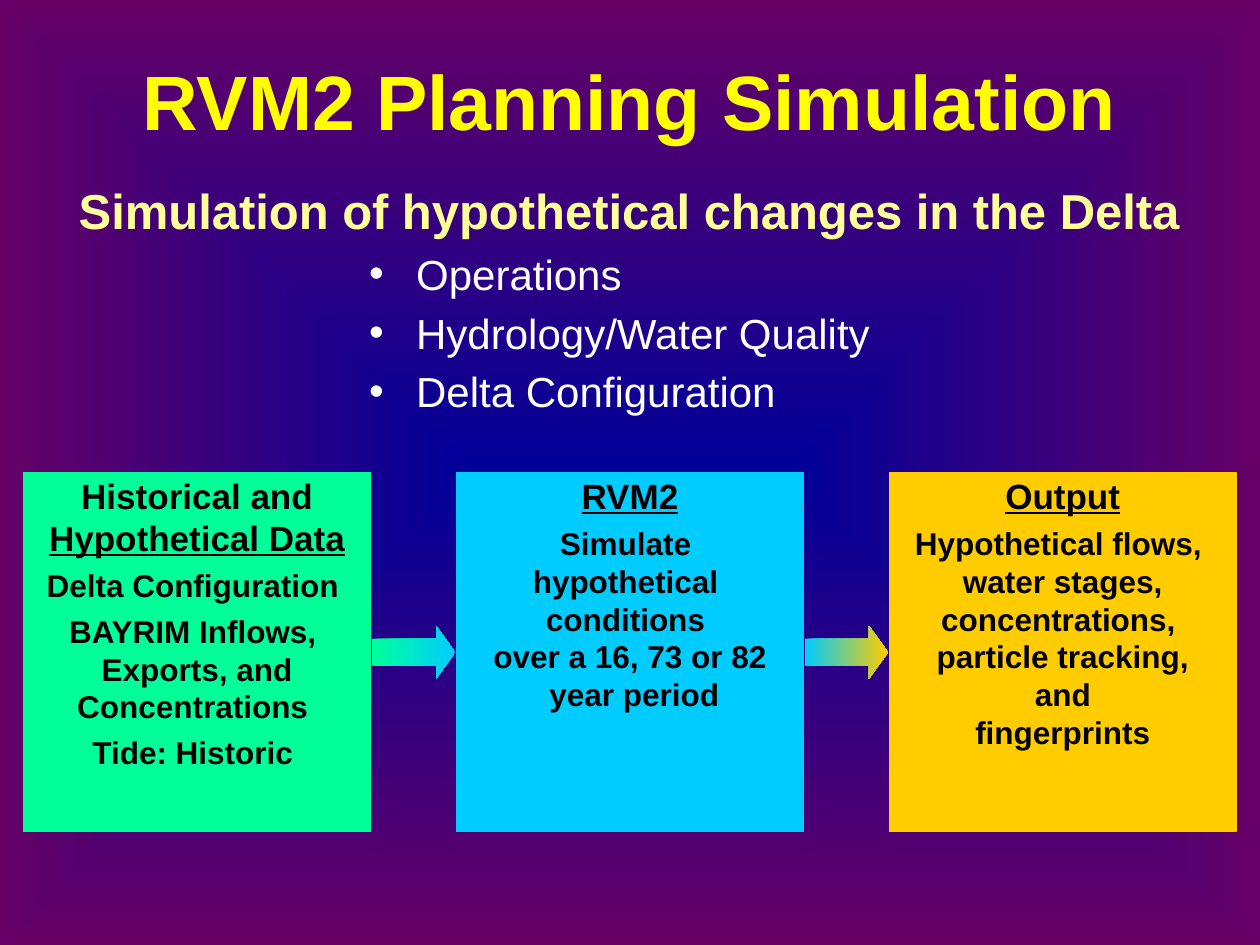
from lxml import etree
from pptx import Presentation, util as u
from pptx.dml.color import RGBColor
from pptx.enum import shapes, text
from pptx.oxml.ns import qn

COLORS = {
    "center": "000099", "edge": "660066", "title": "FFFF00",
    "subtitle": "FFFF99", "bullet": "FFFFFF", "box_text": "000000",
    "data": "00FF99", "model": "00CCFF", "output": "FFCC00",
}

STAGES = [
    ("data", ["Historical and", "Hypothetical Data"],
     [["Delta Configuration "],
      ["BAYRIM Inflows, ", "Exports, and", "Concentrations "],
      ["Tide: Historic "]]),
    ("model", ["RVM2"],
     [["Simulate ", "hypothetical ", "conditions ",
       "over a 16, 73 or 82", " year period"]]),
    ("output", ["Output"],
     [["Hypothetical flows, ", "water stages,", "concentrations, ",
       "particle tracking,", "and", "fingerprints"]]),
]


def color(name):
    return RGBColor.from_string(COLORS[name])


def format_paragraph(paragraph, size, color_name, bold=True, underline=False):
    for run in paragraph.runs:
        font = run.font
        font.name, font.size, font.bold = "Arial", u.Pt(size), bold
        font.underline = underline
        font.color.rgb = color(color_name)


def set_gradient(fill, start, end):
    fill.gradient()
    fill.gradient_angle = 0
    for stop, name in zip(fill.gradient_stops, (start, end)):
        stop.color.rgb = color(name)
    fill.gradient_stops[0].position = 0
    fill.gradient_stops[1].position = 1


def set_background(slide):
    set_gradient(slide.background.fill, "center", "edge")
    linear = next(slide.element.iter(qn("a:lin")))
    gradient_path = etree.Element(qn("a:path"), {"path": "shape"})
    etree.SubElement(gradient_path, qn("a:fillToRect"),
                     {side: "50000" for side in "ltrb"})
    linear.getparent().replace(linear, gradient_path)


def set_margins(frame, margin):
    frame.margin_left = frame.margin_right = margin
    frame.margin_top = frame.margin_bottom = margin


def add_heading(slide, box, wording, size, color_name):
    frame = slide.shapes.add_textbox(*box).text_frame
    frame.word_wrap = True
    frame.vertical_anchor = text.MSO_ANCHOR.MIDDLE
    set_margins(frame, u.Cm(0.03))
    frame.text = wording
    paragraph = frame.paragraphs[0]
    paragraph.alignment = text.PP_ALIGN.CENTER
    format_paragraph(paragraph, size, color_name)


def add_bullets(slide, box, items):
    frame = slide.shapes.add_textbox(*box).text_frame
    frame.word_wrap = True
    frame.text = "\n".join(items)
    indent = u.Cm(0.95)
    for paragraph in frame.paragraphs:
        paragraph.space_before = u.Pt(4.8)
        format_paragraph(paragraph, 24, "bullet", bold=False)
        properties = paragraph._p.get_or_add_pPr()
        properties.set("marL", str(indent))
        properties.set("indent", str(-indent))
        etree.SubElement(properties, qn("a:buFont"), {"typeface": "Arial"})
        etree.SubElement(properties, qn("a:buChar"), {"char": "•"})


def add_stage(group, box, color_name, heading, blocks):
    shape = group.shapes.add_shape(shapes.MSO_SHAPE.RECTANGLE, *box)
    shape.shadow.inherit = False
    shape.fill.solid()
    shape.fill.fore_color.rgb = color(color_name)
    shape.line.color.rgb = color(color_name)
    shape.line.width = u.Pt(0.75)
    frame = shape.text_frame
    frame.word_wrap = False
    frame.vertical_anchor = text.MSO_ANCHOR.TOP
    set_margins(frame, u.Cm(0.03))
    lines = [(line, 20, line == heading[-1], 0) for line in heading]
    for block in blocks:
        lines += [(line, 18, False, 0 if index else 4.5)
                  for index, line in enumerate(block)]
    frame.text = "\n".join(line[0] for line in lines)
    for paragraph, (_, size, underline, gap) in zip(frame.paragraphs, lines):
        paragraph.alignment = text.PP_ALIGN.CENTER
        paragraph.space_before = u.Pt(gap)
        format_paragraph(paragraph, size, "box_text", underline=underline)


def add_arrow(group, box, start, end):
    arrow = group.shapes.add_shape(shapes.MSO_SHAPE.RIGHT_ARROW, *box)
    arrow.shadow.inherit = False
    arrow.adjustments[1] = 0.36
    set_gradient(arrow.fill, start, end)
    arrow.line.fill.background()


def add_flow(slide, box):
    left, top, width, height = box
    stage_width = u.Cm(6.99)
    pitch = (width - stage_width) // (len(STAGES) - 1)
    arrow_width, arrow_height = u.Cm(1.68), u.Cm(1.07)
    arrow_left = (stage_width + pitch - arrow_width) // 2
    arrow_top = top + (height - arrow_height) // 2
    group = slide.shapes.add_group_shape()
    for index, stage in enumerate(STAGES):
        stage_left = left + index * pitch
        add_stage(group, (stage_left, top, stage_width, height), *stage)
        if index < len(STAGES) - 1:
            add_arrow(group, (stage_left + arrow_left, arrow_top,
                              arrow_width, arrow_height),
                      stage[0], STAGES[index + 1][0])


def main():
    presentation = Presentation()
    presentation.slide_width, presentation.slide_height = u.Cm(25.4), u.Cm(19.05)
    slide = presentation.slides.add_slide(presentation.slide_layouts[6])
    set_background(slide)
    add_heading(slide, (u.Cm(1.9), u.Cm(0.43), u.Cm(21.6), u.Cm(3.18)),
                "RVM2 Planning Simulation", 44, "title")
    add_bullets(slide, (u.Cm(7.19), u.Cm(4.88), u.Cm(10.8), u.Cm(2.74)),
                ["Operations", "Hydrology/Water Quality", "Delta Configuration"])
    add_heading(slide, (u.Cm(0.43), u.Cm(3.61), u.Cm(24.51), u.Cm(1.24)),
                "Simulation of hypothetical changes in the Delta", 28, "subtitle")
    add_flow(slide, (u.Cm(0.48), u.Cm(9.53), u.Cm(24.44), u.Cm(7.24)))
    presentation.save("out.pptx")


if __name__ == "__main__":
    main()
